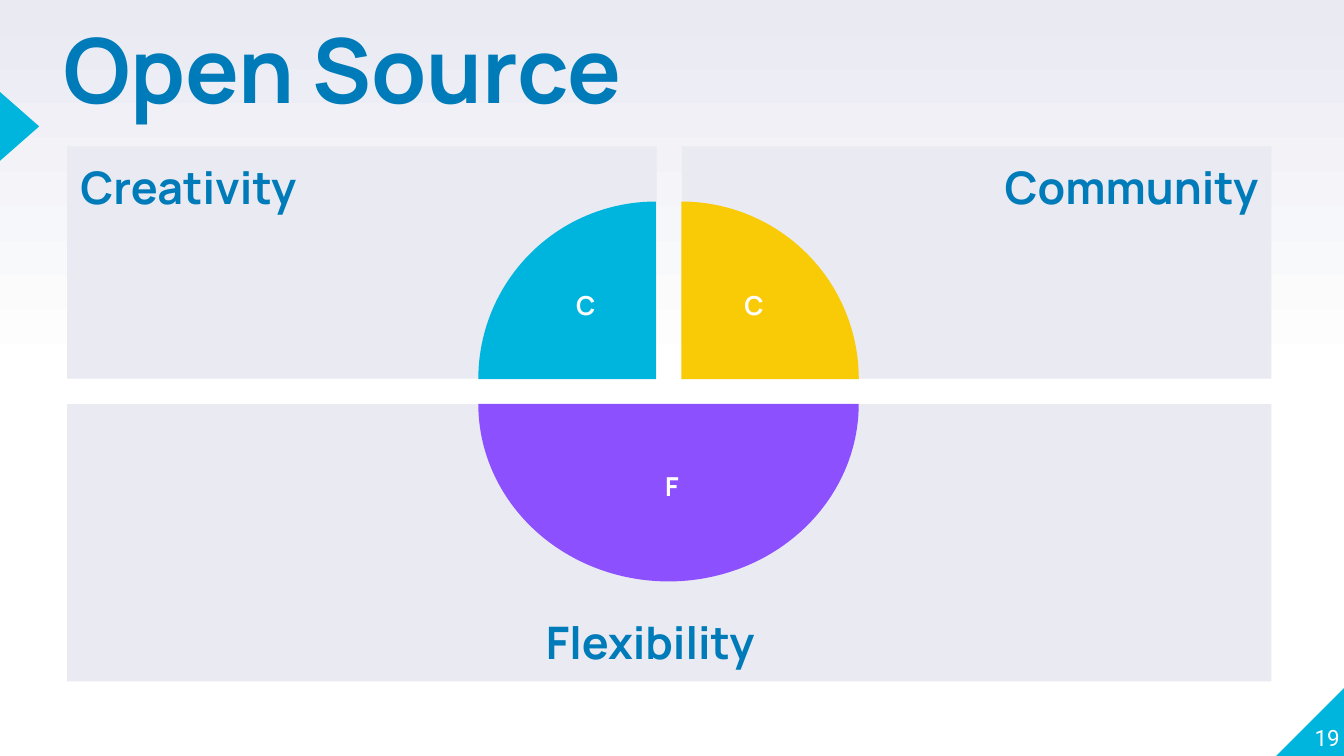
import dataclasses

import pptx
import pptx.dml.color
import pptx.enum.shapes
import pptx.enum.text
import pptx.util

Cm = pptx.util.Cm
Align = pptx.enum.text.PP_ALIGN
Anchor = pptx.enum.text.MSO_ANCHOR
Shape = pptx.enum.shapes.MSO_SHAPE


@dataclasses.dataclass(frozen=True)
class Theme:
    heading_font: str = "Manrope"
    number_font: str = "Roboto"
    blue: str = "007BB9"
    cyan: str = "00B5DD"
    yellow: str = "F9CB07"
    purple: str = "8C50FF"
    white: str = "FFFFFF"
    mist: str = "E9EAF2"
    title_size: int = 48
    label_size: int = 24
    letter_size: int = 14
    number_size: int = 12


@dataclasses.dataclass(frozen=True)
class Box:
    """A rectangle in centimetres."""
    left: float
    top: float
    width: float
    height: float

    def lengths(self):
        return [Cm(value) for value in dataclasses.astuple(self)]


THEME = Theme()


def rgb(colour):
    return pptx.dml.color.RGBColor.from_string(colour)


def add_filled(page, kind, box, colour, rotation=0):
    shape = page.shapes.add_shape(kind, *box.lengths())
    shape.shadow.inherit = False
    shape.fill.solid()
    shape.fill.fore_color.rgb = rgb(colour)
    shape.line.fill.background()
    shape.rotation = rotation
    return shape


def write(shape, text, size, colour, align=Align.LEFT, anchor=Anchor.TOP,
          insets=(0, 0, 0, 0), font=THEME.heading_font, bold=True):
    """Fill a shape with one paragraph; insets run left, top, right, bottom."""
    frame = shape.text_frame
    frame.word_wrap = True
    frame.auto_size = pptx.enum.text.MSO_AUTO_SIZE.NONE
    frame.vertical_anchor = anchor
    (frame.margin_left, frame.margin_top,
     frame.margin_right, frame.margin_bottom) = map(Cm, insets)
    para = frame.paragraphs[0]
    para.text = text
    para.alignment = align
    para.font.name = font
    para.font.size = pptx.util.Pt(size)
    para.font.bold = bold
    para.font.color.rgb = rgb(colour)
    return para


def paint_background(page):
    fill = page.background.fill
    fill.gradient()
    fill.gradient_angle = 90
    stops = ((0.5, THEME.white), (1.0, THEME.mist))
    for stop, (position, colour) in zip(fill.gradient_stops, stops):
        stop.position = position
        stop.color.rgb = rgb(colour)


def add_title(page, box, text):
    title = page.shapes.title
    title.left, title.top, title.width, title.height = box.lengths()
    para = write(title, text, THEME.title_size, THEME.blue)
    para.line_spacing = 0.8


def add_edge_marker(page, box):
    """Point a triangle right, into the page, filling the upright box."""
    turned = Box(box.left + (box.width - box.height) / 2,
                 box.top + (box.height - box.width) / 2,
                 box.height, box.width)
    add_filled(page, Shape.ISOSCELES_TRIANGLE, turned, THEME.cyan, 90)


def add_page_number(page, box, number):
    corner = add_filled(page, Shape.RIGHT_TRIANGLE, box, THEME.cyan)
    corner._element.spPr.xfrm.set("flipH", "1")
    label = Box(box.left - 0.1, box.top - 0.1, box.width, box.height)
    write(page.shapes.add_textbox(*label.lengths()), number,
          THEME.number_size, THEME.white, Align.RIGHT, Anchor.BOTTOM,
          font=THEME.number_font, bold=False)


def add_panels(page, box, gap, upper_height):
    """Place two panels side by side above one full-width panel."""
    half = (box.width - gap) / 2
    lower_top = box.top + upper_height + gap
    pad = 0.25
    panels = (
        ("Creativity", Box(box.left, box.top, half, upper_height),
         Align.LEFT, Anchor.TOP, pad),
        ("Community", Box(box.left + half + gap, box.top, half, upper_height),
         Align.RIGHT, Anchor.TOP, pad),
        ("Flexibility", Box(box.left, lower_top, box.width,
                            box.top + box.height - lower_top),
         Align.CENTER, Anchor.BOTTOM, 0.97),
    )
    for label, area, align, anchor, right_pad in panels:
        panel = add_filled(page, Shape.RECTANGLE, area, THEME.mist)
        write(panel, label, THEME.label_size, THEME.blue, align, anchor,
              (pad, pad, right_pad, pad))


def add_wheel(page, box, gap):
    """Place two quarter discs above a half disc, each with its letter."""
    size = box.width - gap
    half_left = box.left + gap / 2
    half_top = box.top + box.height - size - gap / 2
    # letter, unrotated area, colour, rotation, start angle, letter centre
    sectors = (
        ("C", Box(box.left, box.top, size, size),
         THEME.cyan, 0, 180, (2.03, 2.02)),
        ("C", Box(box.left + gap, box.top, size, size),
         THEME.yellow, 90, 180, (5.21, 2.02)),
        ("F", Box(half_left, half_top, size, box.width),
         THEME.purple, 270, 90, (3.66, 5.44)),
    )
    for _, area, colour, rotation, start, _ in sectors:
        pie = add_filled(page, Shape.PIE, area, colour, rotation)
        # Angles are in 60000ths of a degree, adjustments in 100000ths
        pie.adjustments[0] = start * 0.6
        pie.adjustments[1] = 270 * 0.6
    width, height = 1, 1.22
    for letter, _, _, _, _, (x, y) in sectors:
        area = Box(box.left + x - width / 2, box.top + y - height / 2,
                   width, height)
        write(page.shapes.add_textbox(*area.lengths()), letter,
              THEME.letter_size, THEME.white, Align.CENTER,
              insets=(0.25, 0.25, 0.25, 0.25))


def main():
    deck = pptx.Presentation()
    deck.slide_width, deck.slide_height = Cm(25.4), Cm(14.29)
    page = deck.slides.add_slide(deck.slide_layouts.get_by_name("Title Only"))
    paint_background(page)
    add_page_number(page, Box(24.12, 12.99, 1.3, 1.3), "19")
    add_edge_marker(page, Box(0, 1.74, 0.74, 1.3))
    add_title(page, Box(1.2, 0.66, 15.67, 3), "Open Source")
    add_panels(page, Box(1.27, 2.77, 22.76, 10.11), 0.48, 4.39)
    add_wheel(page, Box(9.04, 3.81, 7.19, 7.18), 0.48)
    deck.save("out.pptx")


if __name__ == "__main__":
    main()
